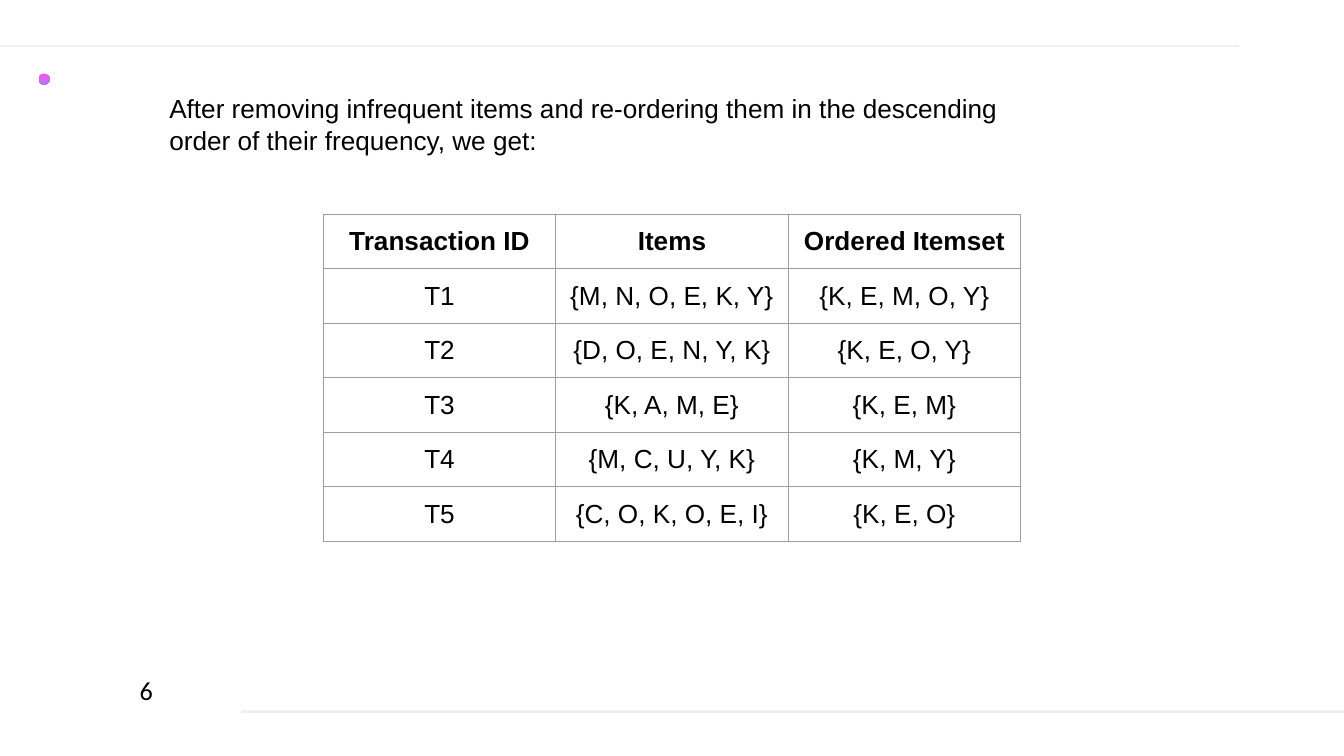
from lxml.etree import SubElement
from pptx import Presentation
from pptx.dml.color import RGBColor
from pptx.enum.shapes import MSO_CONNECTOR, MSO_SHAPE
from pptx.enum.text import MSO_ANCHOR, PP_ALIGN
from pptx.oxml.ns import qn
from pptx.util import Cm, Pt


def paint(color, tone):
    color.rgb = RGBColor.from_string(tone)


def style(para, text, **form):
    para.text = text
    font = para.runs[0].font
    for key, val in {"size": Pt(14), "name": "Arial", "bold": False, **form}.items():
        setattr(font, key, val)
    paint(font.color, "000000")


deck = Presentation()
deck.slide_width, deck.slide_height = Cm(25.4), Cm(14.29)
slide = deck.slides.add_slide(deck.slide_layouts[6])
shapes = slide.shapes

for left, right, top in [(-0.58, 23.42, 0.87), (4.56, 25.5, 13.45)]:
    rule = shapes.add_connector(
        MSO_CONNECTOR.STRAIGHT, Cm(left), Cm(top), Cm(right), Cm(top)
    )
    rule.line.width = Pt(1.5)
    paint(rule.line.color, "EFEFEF")
    SubElement(rule._element.spPr, qn("a:effectLst"))

dot = shapes.add_shape(MSO_SHAPE.OVAL, Cm(0.73), Cm(1.39), Cm(0.21), Cm(0.21))
dot.shadow.inherit = False
dot.line.fill.background()
dot.fill.gradient()
dot.fill.gradient_angle = 270
for stop, tone in zip(dot.fill.gradient_stops, ["FF52EC", "AC7BF6"]):
    paint(stop.color, tone)

rows = [
    ("Transaction ID", "Items", "Ordered Itemset"),
    ("T1", "{M, N, O, E, K, Y}", "{K, E, M, O, Y}"),
    ("T2", "{D, O, E, N, Y, K}", "{K, E, O, Y}"),
    ("T3", "{K, A, M, E}", "{K, E, M}"),
    ("T4", "{M, C, U, Y, K}", "{K, M, Y}"),
    ("T5", "{C, O, K, O, E, I}", "{K, E, O}"),
]
grid = shapes.add_table(
    len(rows), 3, Cm(6.11), Cm(4.05), Cm(13.18), Cm(6.18)
).table
grid.horz_banding = False
for r, row in enumerate(rows):
    for c, text in enumerate(row):
        cell = grid.cell(r, c)
        cell.vertical_anchor = MSO_ANCHOR.MIDDLE
        para = cell.text_frame.paragraphs[0]
        para.alignment = PP_ALIGN.CENTER
        style(para, text, bold=r == 0)
        props = cell._tc.get_or_add_tcPr()
        for side in "LRTB":
            edge = SubElement(props, qn("a:ln" + side), w=str(Pt(0.75)))
            fill = SubElement(edge, qn("a:solidFill"))
            SubElement(fill, qn("a:srgbClr"), val="9E9E9E")
        cell.fill.background()

intro = (
    "After removing infrequent items and re-ordering them in the descending "
    "order of their frequency, we get:"
)
for text, face, left, top, width, height in [
    (intro, "Arial", 2.95, 1.63, 17.32, 1.45),
    ("6", "Calibri", 2.39, 12.62, 2.34, 0.86),
]:
    frame = shapes.add_textbox(Cm(left), Cm(top), Cm(width), Cm(height)).text_frame
    frame.word_wrap = True
    style(frame.paragraphs[0], text, name=face)

deck.save("out.pptx")
